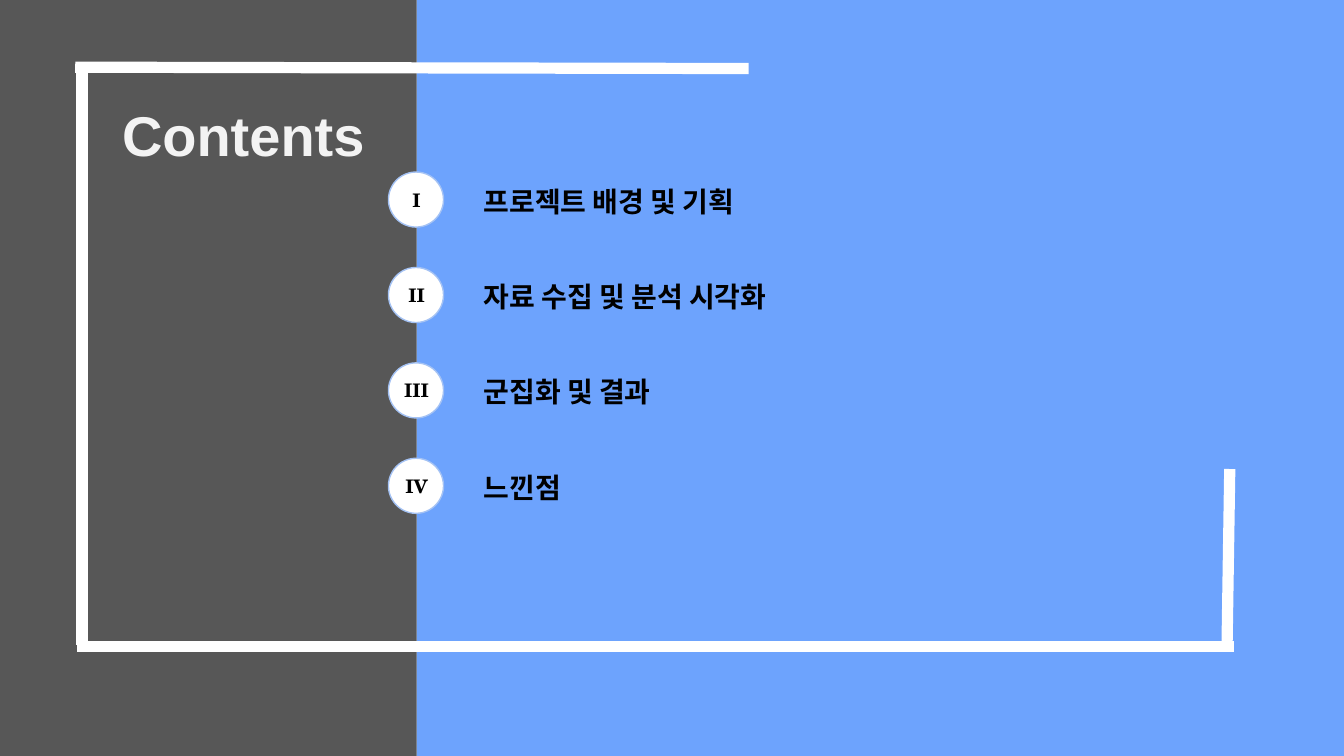
"""Build a contents slide with four numbered topics inside a white frame."""
from lxml import etree
from pptx import Presentation
from pptx.dml.color import RGBColor
from pptx.enum.shapes import MSO_CONNECTOR, MSO_SHAPE
from pptx.enum.text import MSO_ANCHOR, PP_ALIGN
from pptx.oxml.ns import qn
from pptx.util import Inches, Pt

RECTANGLE, OVAL = MSO_SHAPE.RECTANGLE, MSO_SHAPE.OVAL
STRAIGHT = MSO_CONNECTOR.STRAIGHT
TOP, MIDDLE = MSO_ANCHOR.TOP, MSO_ANCHOR.MIDDLE
LEFT, CENTER = PP_ALIGN.LEFT, PP_ALIGN.CENTER

COLORS = {
    "panel": "6DA3FD",
    "sidebar": "434343",
    "white": "FFFFFF",
    "ring": "A4C2F4",
    "title": "F3F3F3",
    "text": "000000",
}
WIDTH, SIDEBAR_WIDTH = 10, 3.1
HEIGHT = WIDTH * 9 / 16
FIRST_TOP, ROW_STEP = 1.28, 0.71
TOPICS = [
    ("I", "프로젝트 배경 및 기획"),
    ("II", "자료 수집 및 분석 시각화"),
    ("III", "군집화 및 결과"),
    ("IV", "느낀점"),
]
FRAME_LINES = [
    (0.56, 0.5, 5.57, 0.51),
    (0.57, 4.81, 9.18, 4.81),
    (0.61, 0.53, 0.61, 4.8),
    (9.15, 3.49, 9.13, 4.8),
]


def add_filled_shape(kind, left, top, width, height, color):
    shape = slide.shapes.add_shape(
        kind, Inches(left), Inches(top), Inches(width), Inches(height))
    shape.shadow.inherit = False
    shape.fill.solid()
    shape.fill.fore_color.rgb = RGBColor.from_string(COLORS[color])
    shape.line.fill.background()
    return shape


def add_label(text, left, top, width, height, size, font="Arial",
              color="text", align=LEFT, anchor=TOP):
    box = slide.shapes.add_textbox(
        Inches(left), Inches(top), Inches(width), Inches(height))
    frame = box.text_frame
    frame.word_wrap = True
    frame.vertical_anchor = anchor
    frame.margin_left = frame.margin_right = Inches(0.1)
    frame.margin_top = frame.margin_bottom = Inches(0.1)
    paragraph = frame.paragraphs[0]
    paragraph.alignment = align
    run = paragraph.add_run()
    run.text = text
    run.font.name = font
    run.font.size = Pt(size)
    run.font.bold = True
    run.font.color.rgb = RGBColor.from_string(COLORS[color])


presentation = Presentation()
presentation.slide_width = Inches(WIDTH)
presentation.slide_height = Inches(HEIGHT)
slide = presentation.slides.add_slide(presentation.slide_layouts[6])

add_filled_shape(RECTANGLE, SIDEBAR_WIDTH, 0, WIDTH - SIDEBAR_WIDTH, HEIGHT, "panel")
sidebar = add_filled_shape(RECTANGLE, 0, 0, SIDEBAR_WIDTH, HEIGHT, "sidebar")
sidebar_color = sidebar.fill._xPr.find(qn("a:solidFill")).find(qn("a:srgbClr"))
etree.SubElement(sidebar_color, qn("a:alpha")).set("val", "89000")

for line_ends in FRAME_LINES:
    connector = slide.shapes.add_connector(STRAIGHT, *map(Inches, line_ends))
    connector.line.color.rgb = RGBColor.from_string(COLORS["white"])
    connector.line.width = Pt(6)
    etree.SubElement(connector._element.spPr, qn("a:effectLst"))

add_label("Contents", 0.81, 0.65, 3.1, 0.66, 30, color="title")

for row, (numeral, topic) in enumerate(TOPICS):
    top = FIRST_TOP + row * ROW_STEP
    circle = add_filled_shape(OVAL, 2.89, top, 0.41, 0.41, "white")
    circle.line.color.rgb = RGBColor.from_string(COLORS["ring"])
    circle.line.width = Pt(0.75)
    add_label(topic, 3.5, top - 0.01, 5, 0.46, 15)
    add_label(numeral, 2.82, top + 0.03, 0.56, 0.35, 10,
              font="TeX Gyre Schola", align=CENTER, anchor=MIDDLE)

presentation.save("out.pptx")
